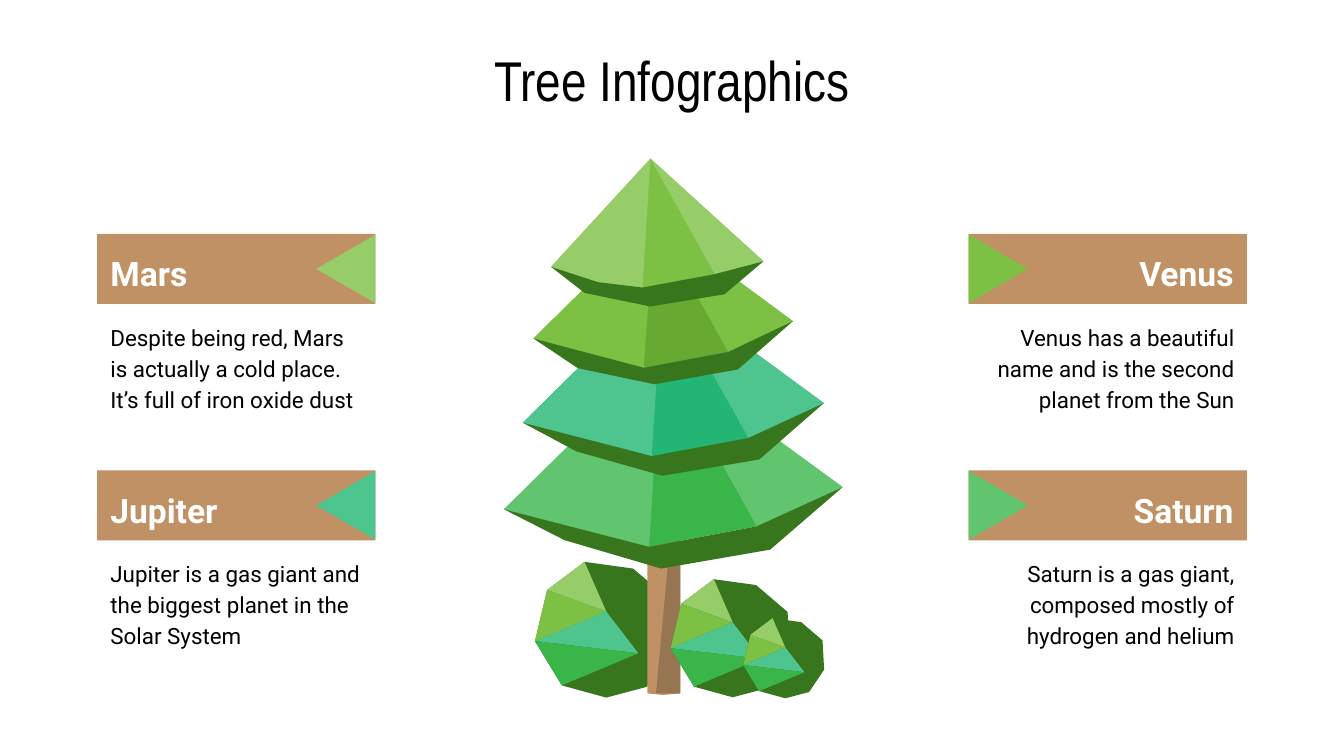
"""Build a slide with a low-poly tree, three bushes and four planet cards."""
from dataclasses import dataclass
from typing import Any

import pptx
import pptx.dml.color
import pptx.enum.shapes
import pptx.enum.text
import pptx.util

Pt = pptx.util.Pt
Align = pptx.enum.text.PP_ALIGN
Anchor = pptx.enum.text.MSO_ANCHOR
Shape = pptx.enum.shapes.MSO_SHAPE
Point = tuple[float, float]

HUES = {
    "black": "000000", "white": "FFFFFF", "bark": "BF9164", "shade": "957552",
    "dark": "38761D", "lime": "97CD69", "grass": "7DC144", "moss": "68A932",
    "mint": "4EC48F", "teal": "22B573", "leaf": "61C46E", "fern": "39B54A",
}
BAND_W, BAND_H = 149, 37.5
BODY_W, BODY_H, BODY_DROP = 149.5, 60, 38.9
FLAG_W, FLAG_H, FLAG_IN = 36.7, 31.7, 15.8
LEFT, RIGHT = 52.1, 519
TOP, LOW = 125.3, 252


@dataclass
class Card:
    """Planet card: name, text, place and flag colour."""
    name: str
    text: str
    x: float
    y: float
    hue: str


@dataclass
class Tier:
    """Tree tier: hem runs from west to base, skirt from west to east."""
    apex: Point
    hem: list[Point]
    fold: Point
    east: Point
    skirt: list[Point]
    core: str
    side: str


@dataclass
class Bush:
    """Place and scale of a bush."""
    x: float
    y: float
    scale: float


CARDS = [
    Card("Mars", "Despite being red, Mars is actually a cold place. "
         "It’s full of iron oxide dust", LEFT, TOP, "lime"),
    Card("Jupiter", "Jupiter is a gas giant and the biggest planet in the "
         "Solar System", LEFT, LOW, "mint"),
    Card("Venus", "Venus has a beautiful name and is the second planet "
         "from the Sun", RIGHT, TOP, "grass"),
    Card("Saturn", "Saturn is a gas giant, composed mostly of hydrogen "
         "and helium", RIGHT, LOW, "leaf"),
]
TIERS = [
    Tier((354.2, 190.1), [(270, 272.9), (347.8, 293)], (405.4, 282), (451.4, 261),
         [(302.4, 289.4), (354.2, 304.6), (412.6, 294.5)], "fern", "leaf"),
    Tier((355, 152.6), [(280.1, 226.5), (349.2, 244.4)], (401, 234.7), (441.4, 216),
         [(308.9, 241.9), (355, 254.9), (406.8, 246.2)], "teal", "mint"),
    Tier((350.6, 117.4), [(285.8, 181.4), (344.9, 197.1)], (390.2, 188.6), (424.8, 172.1),
         [(309.6, 197.3), (350.6, 205.9), (395.3, 198)], "moss", "grass"),
    Tier((348.5, 85), [(295.2, 143), (320.4, 151.2), (344.2, 154.1)], (383, 146.9),
         (409, 140), [(313.2, 157), (348.5, 164.2), (388.1, 157.7)], "grass", "lime"),
]
BUSHES = [Bush(286.6, 301, 1), Bush(359.3, 310.3, 0.87), Bush(398.2, 331.2, 0.59)]
RIM = [(26.6, 0), (6.5, 15.1), (0, 42.5), (14.4, 66.2), (38.2, 72.7),
       (59.8, 67), (73.4, 46.8), (72, 20.2), (52.6, 3.6)]
HUB, TIP = (38.2, 26.6), (55.4, 49)
LOBES = [
    (RIM, "dark"),
    ([RIM[0], RIM[1], HUB], "lime"),
    ([RIM[1], RIM[2], HUB], "grass"),
    ([HUB, RIM[2], TIP], "mint"),
    ([RIM[2], RIM[3], TIP], "fern"),
]


def tint(name: str) -> pptx.dml.color.RGBColor:
    """Return the named colour."""
    return pptx.dml.color.RGBColor.from_string(HUES[name])


def paint(shape: Any, hue: str) -> None:
    """Give a shape a flat fill with no line or shadow."""
    shape.shadow.inherit = False
    shape.fill.solid()
    shape.fill.fore_color.rgb = tint(hue)
    shape.line.fill.background()


def place(shape: Any, x: float, y: float, w: float, h: float) -> None:
    """Move and size a shape."""
    shape.left, shape.top, shape.width, shape.height = Pt(x), Pt(y), Pt(w), Pt(h)


def write(shape: Any, text: str, size: float, face: str, hue: str,
          align: Align, anchor: Anchor = Anchor.TOP, bold: bool = False) -> Any:
    """Write one run and return its paragraph."""
    frame = shape.text_frame
    frame.word_wrap = True
    frame.auto_size = pptx.enum.text.MSO_AUTO_SIZE.NONE
    frame.vertical_anchor = anchor
    frame.margin_left = frame.margin_right = Pt(7.2)
    frame.margin_top = frame.margin_bottom = Pt(7.2)
    para = frame.paragraphs[0]
    para.alignment = align
    run = para.add_run()
    run.text = text
    run.font.size, run.font.name, run.font.bold = Pt(size), face, bold
    run.font.color.rgb = tint(hue)
    return para


def facet(shapes: Any, points: list[Point], hue: str) -> None:
    """Draw one closed flat polygon."""
    first, *rest = [(Pt(x), Pt(y)) for x, y in points]
    pen = shapes.build_freeform(*first)
    pen.add_line_segments(rest, close=True)
    paint(pen.convert_to_shape(), hue)


def draw_bush(slide: Any, bush: Bush) -> None:
    """Draw a bush as one group."""
    shapes = slide.shapes.add_group_shape().shapes
    for points, hue in LOBES:
        facet(shapes, [(bush.x + bush.scale * x, bush.y + bush.scale * y)
                       for x, y in points], hue)


def draw_tree(slide: Any) -> None:
    """Draw the trunk and all tiers as one group."""
    shapes = slide.shapes.add_group_shape().shapes
    facet(shapes, [(346.8, 231), (346.8, 371.5), (355, 372.3), (364.4, 371.5),
                   (364.4, 231)], "bark")
    facet(shapes, [(364.4, 231), (351.4, 371.5), (364.4, 371.5)], "shade")
    for tier in TIERS:
        facet(shapes, [tier.apex, *tier.hem, tier.fold, tier.east], tier.core)
        facet(shapes, [tier.apex, *tier.hem], tier.side)
        facet(shapes, [tier.apex, tier.fold, tier.east], tier.side)
        facet(shapes, [tier.east, tier.fold, *tier.hem[::-1], *tier.skirt], "dark")


def draw_card(slide: Any, card: Card) -> None:
    """Draw the band, flag and text of a card."""
    left = card.x == LEFT
    align = Align.LEFT if left else Align.RIGHT
    band = slide.shapes.add_shape(Shape.RECTANGLE, 0, 0, 0, 0)
    place(band, card.x, card.y, BAND_W, BAND_H)
    paint(band, "bark")
    body = slide.shapes.add_textbox(0, 0, 0, 0)
    place(body, card.x, card.y + BODY_DROP, BODY_W, BODY_H)
    for para in (
        write(band, card.name, 18, "Roboto", "white", align, bold=True),
        write(body, card.text, 12, "Roboto", "black", align),
    ):
        para.line_spacing, para.space_after = 1.15, Pt(16)
    mid = card.x + (BAND_W - FLAG_IN if left else FLAG_IN)
    flag = slide.shapes.add_shape(Shape.ISOSCELES_TRIANGLE, 0, 0, 0, 0)
    place(flag, mid - FLAG_W / 2, card.y + (BAND_H - FLAG_H) / 2, FLAG_W, FLAG_H)
    flag.rotation = 270 if left else 90
    paint(flag, card.hue)


def main() -> None:
    """Build and save the slide."""
    deck = pptx.Presentation()
    deck.slide_width, deck.slide_height = Pt(720), Pt(405)
    slide = deck.slides.add_slide(deck.slide_layouts[5])
    title = slide.shapes.title
    place(title, 100.8, 23.2, 518.4, 38.2)
    write(title, "Tree Infographics", 30, "Arial Narrow", "black",
          Align.CENTER, Anchor.MIDDLE)
    draw_bush(slide, BUSHES[0])
    for card in CARDS:
        draw_card(slide, card)
    draw_tree(slide)
    for bush in BUSHES[1:]:
        draw_bush(slide, bush)
    deck.save("out.pptx")


if __name__ == "__main__":
    main()
